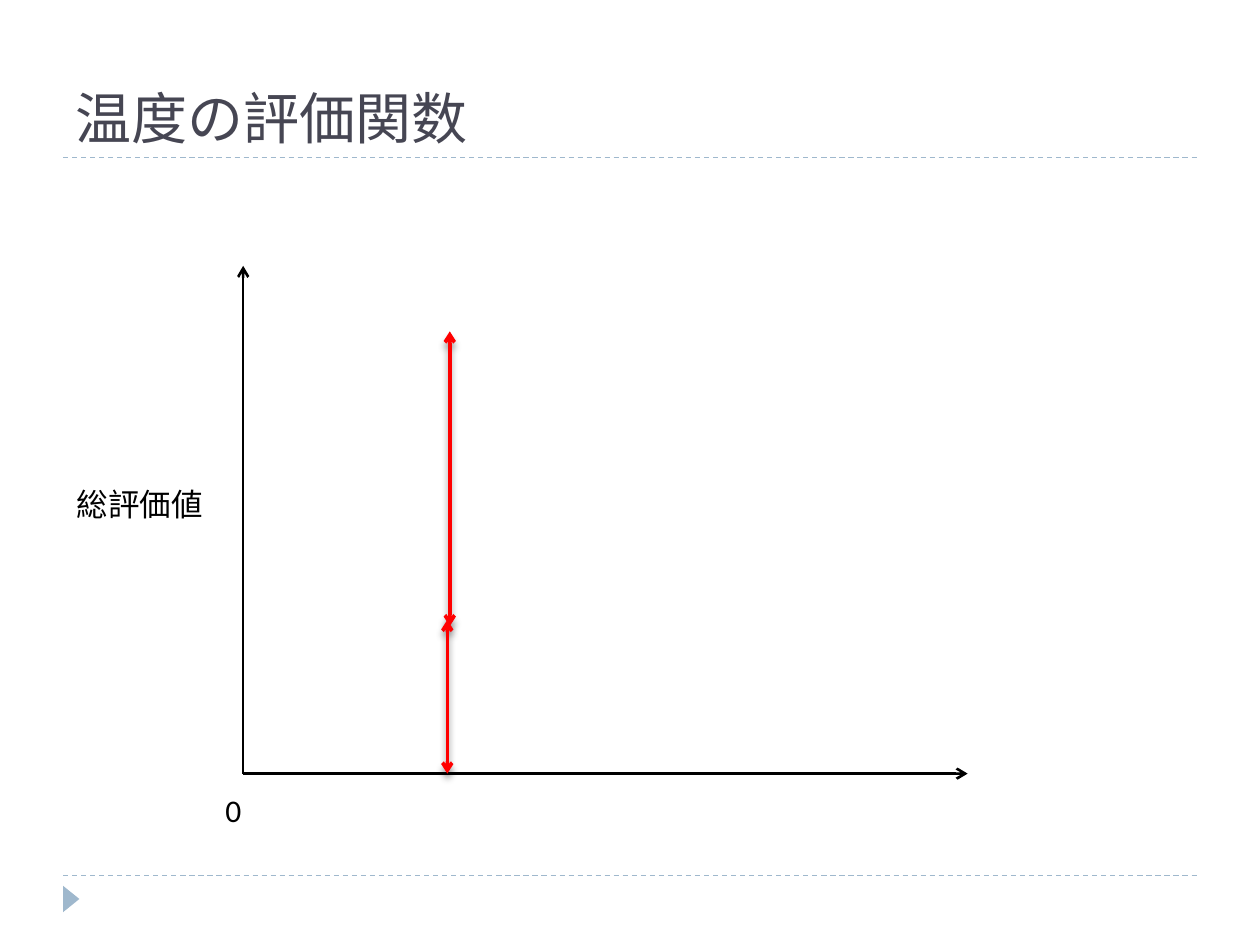
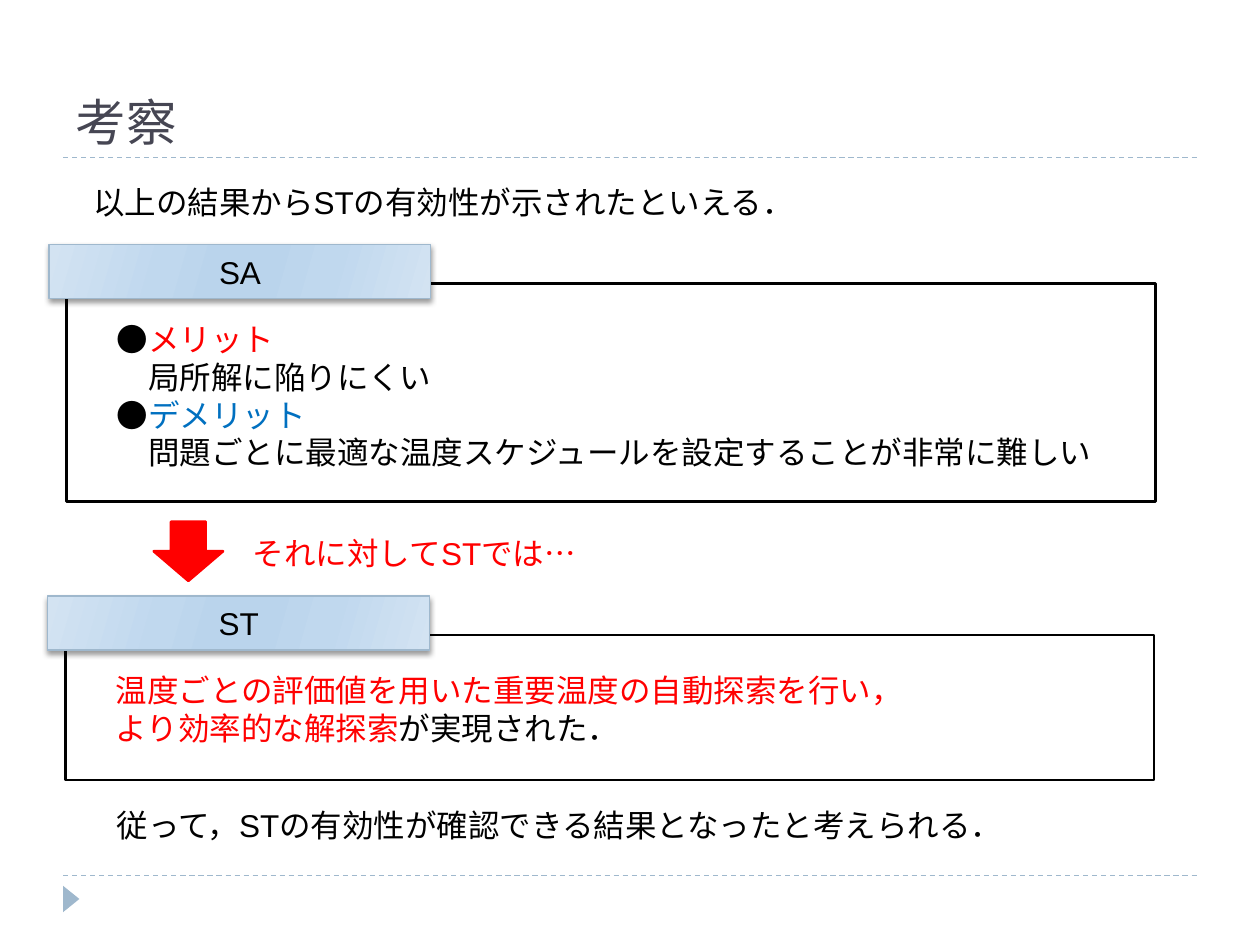
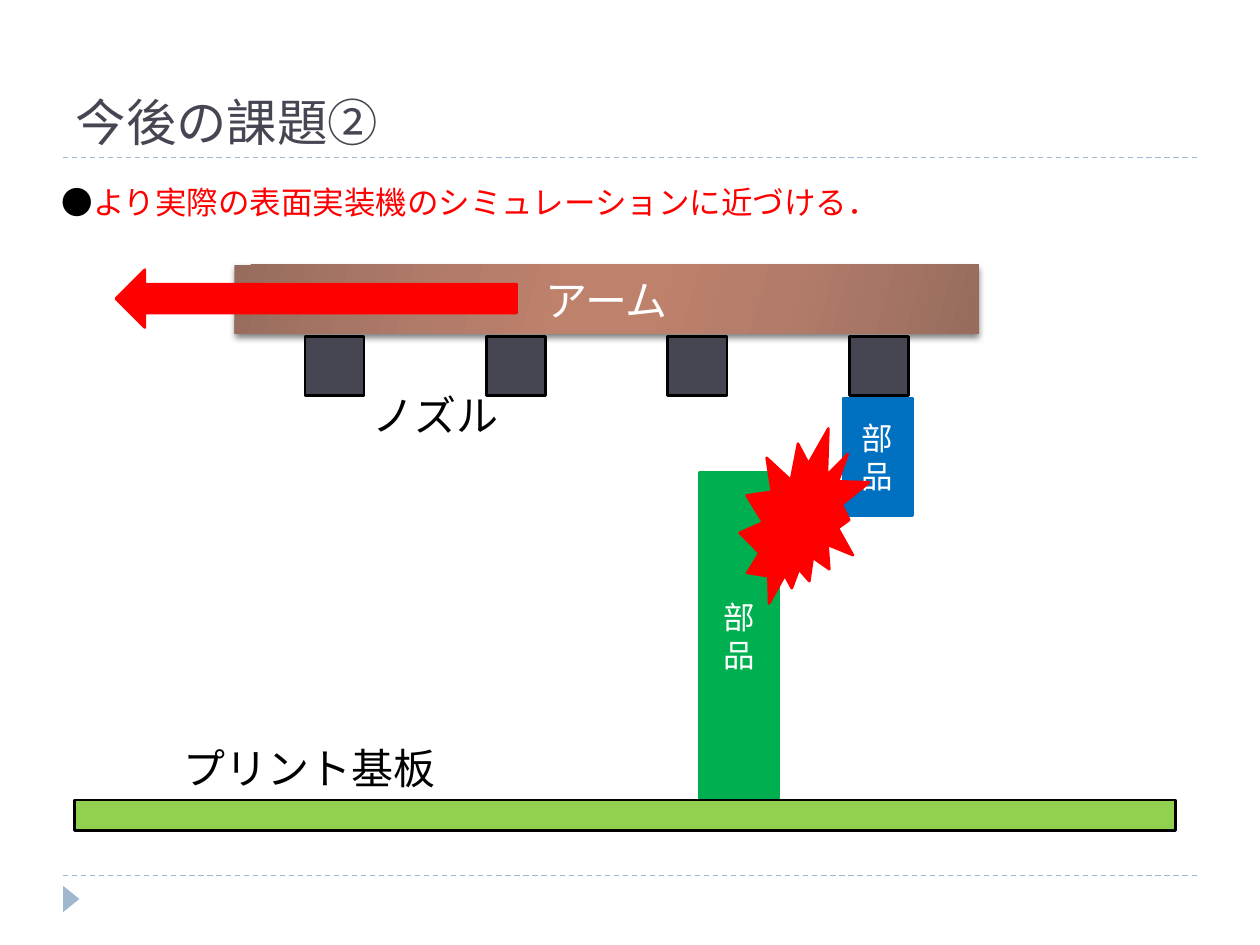
from pptx import Presentation
from pptx.dml.color import RGBColor
from pptx.enum.dml import MSO_LINE
from pptx.enum.shapes import MSO_CONNECTOR, MSO_SHAPE
from pptx.enum.text import MSO_ANCHOR, MSO_AUTO_SIZE, PP_ALIGN
from pptx.oxml import parse_xml
from pptx.oxml.ns import nsdecls, qn
from pptx.util import Inches, Pt

STRAIGHT = MSO_CONNECTOR.STRAIGHT
DASH = MSO_LINE.DASH
RECTANGLE = MSO_SHAPE.RECTANGLE
TRIANGLE = MSO_SHAPE.ISOSCELES_TRIANGLE
DOWN_ARROW = MSO_SHAPE.DOWN_ARROW
LEFT_ARROW = MSO_SHAPE.LEFT_ARROW
BURST = MSO_SHAPE.EXPLOSION2
MIDDLE, BOTTOM = MSO_ANCHOR.MIDDLE, MSO_ANCHOR.BOTTOM
LEFT, CENTER = PP_ALIGN.LEFT, PP_ALIGN.CENTER
NO_AUTOFIT = MSO_AUTO_SIZE.NONE

COLORS = {
    "black": "000000", "white": "FFFFFF", "red": "FF0000", "blue": "0070C0",
    "green": "00B050", "board": "92D050", "slate": "464653", "accent": "9FB8CD",
}
TITLE_FONT, BODY_FONT, LABEL_FONT = "TeX Gyre Bonum", "Arial", "Calibri"
GRADIENT_POSITIONS = (0, 30, 45, 55, 73, 100)
LABEL_GRADIENT = ("D3E3F2", "C0D8EE", "BAD4EC")
ARM_GRADIENT = ("976C5D", "B37C6A", "BE816C")
SHADOW = (
    f'<a:outerShdw {nsdecls("a")} blurRad="{{}}" dist="{{}}" dir="5400000" rotWithShape="0">'
    '<a:srgbClr val="000000"><a:alpha val="{}000"/></a:srgbClr></a:outerShdw>'
)


def write_text(shape, paragraphs, size=18, font=BODY_FONT, align=LEFT, space_before=0):
    """Write paragraphs, each a list of (text, colour name) runs."""
    frame = shape.text_frame
    frame.word_wrap = True
    for index, runs in enumerate(paragraphs):
        paragraph = frame.add_paragraph() if index else frame.paragraphs[0]
        paragraph.alignment = align
        paragraph.space_before = Pt(space_before)
        for text, color in runs:
            run = paragraph.add_run()
            run.text = text
            run.font.name, run.font.size = font, Pt(size)
            run.font.color.rgb = RGBColor.from_string(COLORS[color])


def add_block(slide, preset, box, fill, line=None, width=1.5, shadow=None):
    """Add a shape; fill is a colour name or the outer, middle and inner gradient colours."""
    shape = slide.shapes.add_shape(preset, *map(Inches, box))
    properties = shape.element.spPr
    if isinstance(fill, str):
        shape.fill.solid()
        shape.fill.fore_color.rgb = RGBColor.from_string(COLORS[fill])
    else:
        shape.fill.gradient()
        shape.fill.gradient_angle = 344
        stops = properties.find(qn("a:gradFill")).find(qn("a:gsLst"))
        stops.clear()
        for position, color in zip(GRADIENT_POSITIONS, fill + fill[::-1]):
            stops.append(parse_xml(
                f'<a:gs {nsdecls("a")} pos="{position * 1000}"><a:srgbClr val="{color}"/></a:gs>'))
    if line:
        shape.line.color.rgb = RGBColor.from_string(COLORS[line])
        shape.line.width = Pt(width)
    else:
        shape.line.fill.background()
    shape.shadow.inherit = False
    if shadow:
        blur, distance, alpha = shadow
        properties.find(qn("a:effectLst")).append(
            parse_xml(SHADOW.format(Pt(blur), Pt(distance), alpha)))
    shape.text_frame.vertical_anchor = MIDDLE
    return shape


presentation = Presentation()
presentation.slide_width, presentation.slide_height = Inches(10), Inches(7.5)
layout = presentation.slide_layouts[5]

# Slides and titles
slides = []
for title_text, title_size in (("温度の評価関数", 32), ("考察", 28.8), ("今後の課題②", 28.8)):
    slide = presentation.slides.add_slide(layout)
    title = slide.shapes.title
    title.left, title.top, title.width, title.height = map(Inches, (0.5, 0.17, 9, 1.08))
    title.text_frame.vertical_anchor = BOTTOM
    title.text_frame.auto_size = NO_AUTOFIT
    write_text(title, [[(title_text, "slate")]], title_size, TITLE_FONT)
    slides.append(slide)
function_slide, discussion_slide, future_slide = slides

# Shared rules and footer marker, moved to the layout
shared_shapes = []
for y in (6.95, 1.25):
    rule = function_slide.shapes.add_connector(
        STRAIGHT, Inches(0.5), Inches(y), Inches(9.5), Inches(y))
    rule.line.color.rgb = RGBColor.from_string(COLORS["accent"])
    rule.line.width = Pt(0.75)
    rule.line.dash_style = DASH
    rule.element.spPr.append(parse_xml(f'<a:effectLst {nsdecls("a")}/>'))
    shared_shapes.append(rule)
marker = add_block(function_slide, TRIANGLE, (0.46, 7.07, 0.21, 0.13), "accent")
marker.rotation = 90
shared_shapes.append(marker)
for shape in shared_shapes:
    layout.shapes.element.append(shape.element)

# Slide 1: axes and evaluation ranges
for start_x, start_y, end_x, end_y, color, is_range in (
    (3.57, 2.63, 3.57, 4.97, "red", True),
    (1.93, 6.14, 7.68, 6.14, "black", False),
    (1.93, 6.14, 1.93, 2.11, "black", False),
    (3.55, 4.92, 3.55, 6.14, "red", True),
):
    arrow = function_slide.shapes.add_connector(
        STRAIGHT, *map(Inches, (start_x, start_y, end_x, end_y)))
    arrow.line.color.rgb = RGBColor.from_string(COLORS[color])
    arrow.line.width = Pt(2 if is_range else 1.5)
    outline = arrow.element.spPr.find(qn("a:ln"))
    for end in ("headEnd", "tailEnd") if is_range else ("tailEnd",):
        outline.append(parse_xml(f'<a:{end} {nsdecls("a")} type="arrow"/>'))
    effects = parse_xml(f'<a:effectLst {nsdecls("a")}/>')
    if is_range:
        effects.append(parse_xml(SHADOW.format(Pt(4), Pt(3.4), 40)))
    arrow.element.spPr.append(effects)

for text, box in (("総評価値", (0.51, 3.8, 1.41, 0.4)), ("0", (1.69, 6.23, 0.45, 0.4))):
    label = function_slide.shapes.add_textbox(*map(Inches, box))
    write_text(label, [[(text, "black")]], font=LABEL_FONT)

# Slide 2: framed panels with heading labels
for heading, left, top, panel_height in (("SA", 0.39, 1.94, 1.73), ("ST", 0.38, 4.73, 1.15)):
    add_block(discussion_slide, RECTANGLE, (left + 0.14, top + 0.31, 8.64, panel_height),
              "white", "black")
    label = add_block(discussion_slide, RECTANGLE, (left, top, 3.03, 0.43),
                      LABEL_GRADIENT, "accent", 0.75, (3, 2, 40))
    write_text(label, [[(heading, "black")]], align=CENTER)
add_block(discussion_slide, DOWN_ARROW, (1.22, 4.14, 0.55, 0.47), "red", "red")

# Slide 2: statements
for box, space_before, paragraphs in (
    ((0.39, 1.4, 9.21, 0.4), 0, [[("　以上の結果からSTの有効性が示されたといえる．", "black")]]),
    ((0.83, 2.49, 8.03, 1.31), 0, [
        [("●", "black"), ("メリット", "red")],
        [("　局所解に陥りにくい", "black")],
        [("●", "black"), ("デメリット", "blue")],
        [("　問題ごとに最適な温度スケジュールを設定することが非常に難しい", "black")],
    ]),
    ((1.91, 4.19, 7.64, 0.38), 6, [[("それに対してSTでは…", "red")]]),
    ((0.82, 5.28, 8.03, 0.71), 0, [
        [("温度ごとの評価値を用いた重要温度の自動探索を行い，", "red")],
        [("より効率的な解探索", "red"), ("が実現された．", "black")],
    ]),
    ((0.83, 6.35, 7.64, 0.38), 6,
     [[("従って，STの有効性が確認できる結果となったと考えられる．", "black")]]),
):
    statement = discussion_slide.shapes.add_textbox(*map(Inches, box))
    write_text(statement, paragraphs, space_before=space_before)

# Slide 3: task statement
task = future_slide.shapes.add_textbox(*map(Inches, (0.39, 1.4, 9.21, 0.4)))
write_text(task, [[("●", "black"), ("より実際の表面実装機のシミュレーションに近づける．", "red")]])

# Slide 3: board, arm, nozzles and parts
mounted_part = add_block(future_slide, RECTANGLE, (5.55, 3.75, 0.63, 2.6), "green", "green")
add_block(future_slide, RECTANGLE, (0.59, 6.35, 8.74, 0.24), "board", "black")
arm = add_block(future_slide, RECTANGLE, (1.86, 2.1, 5.91, 0.55), ARM_GRADIENT, shadow=(4, 2, 50))
write_text(arm, [[("アーム", "white")]], 24, LABEL_FONT, CENTER)
for index in range(4):
    add_block(future_slide, RECTANGLE, (2.42 + 1.44 * index, 2.67, 0.47, 0.47), "slate", "black")
held_part = add_block(future_slide, RECTANGLE, (6.69, 3.16, 0.55, 0.93), "blue", "blue")
for part in (mounted_part, held_part):
    write_text(part, [[("部品", "white")]], font=LABEL_FONT, align=CENTER)

# Slide 3: labels, direction of travel and collision
for text, box in (("ノズル", (2.86, 3.04, 1.29, 0.5)), ("プリント基板", (1.36, 5.84, 2.5, 0.5))):
    label = future_slide.shapes.add_textbox(*map(Inches, box))
    write_text(label, [[(text, "black")]], 24, LABEL_FONT)
add_block(future_slide, LEFT_ARROW, (0.92, 2.14, 3.18, 0.46), "red", "red")
add_block(future_slide, BURST, (5.87, 3.4, 1.03, 1.39), "red", "red")

presentation.save("out.pptx")
